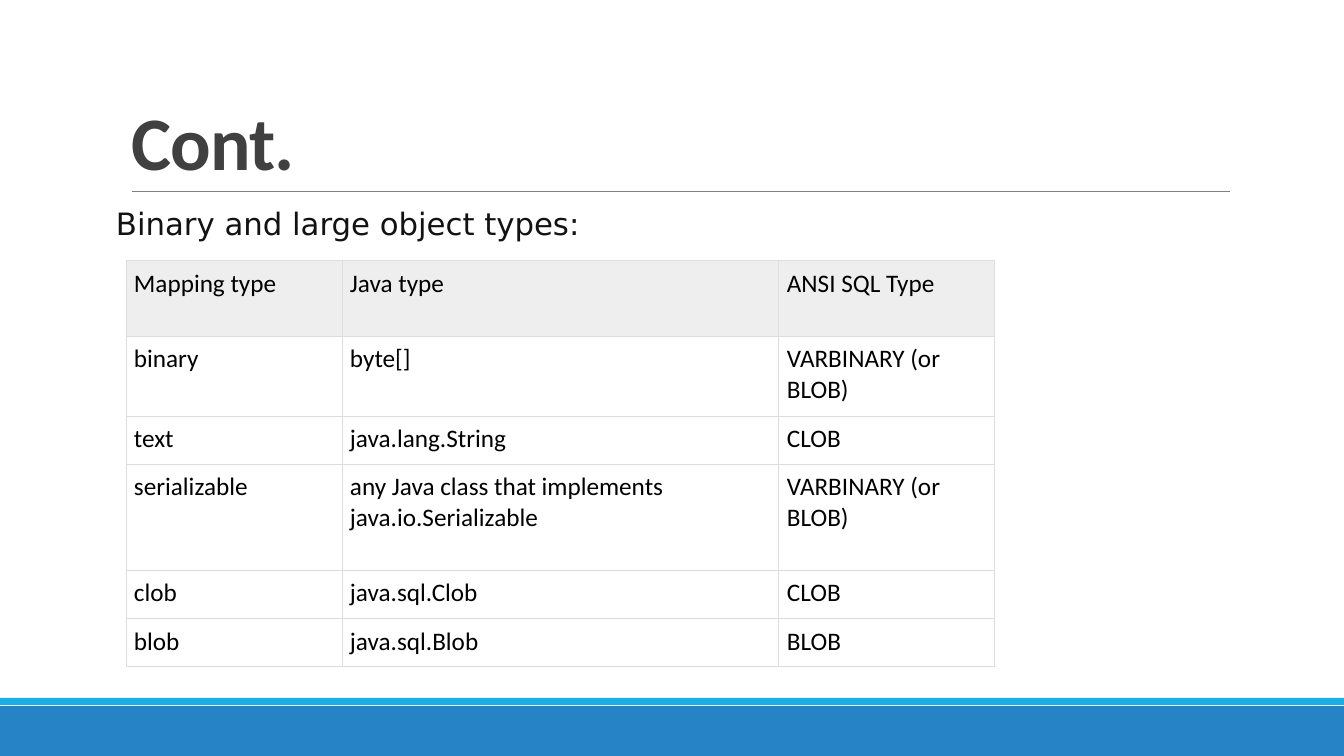
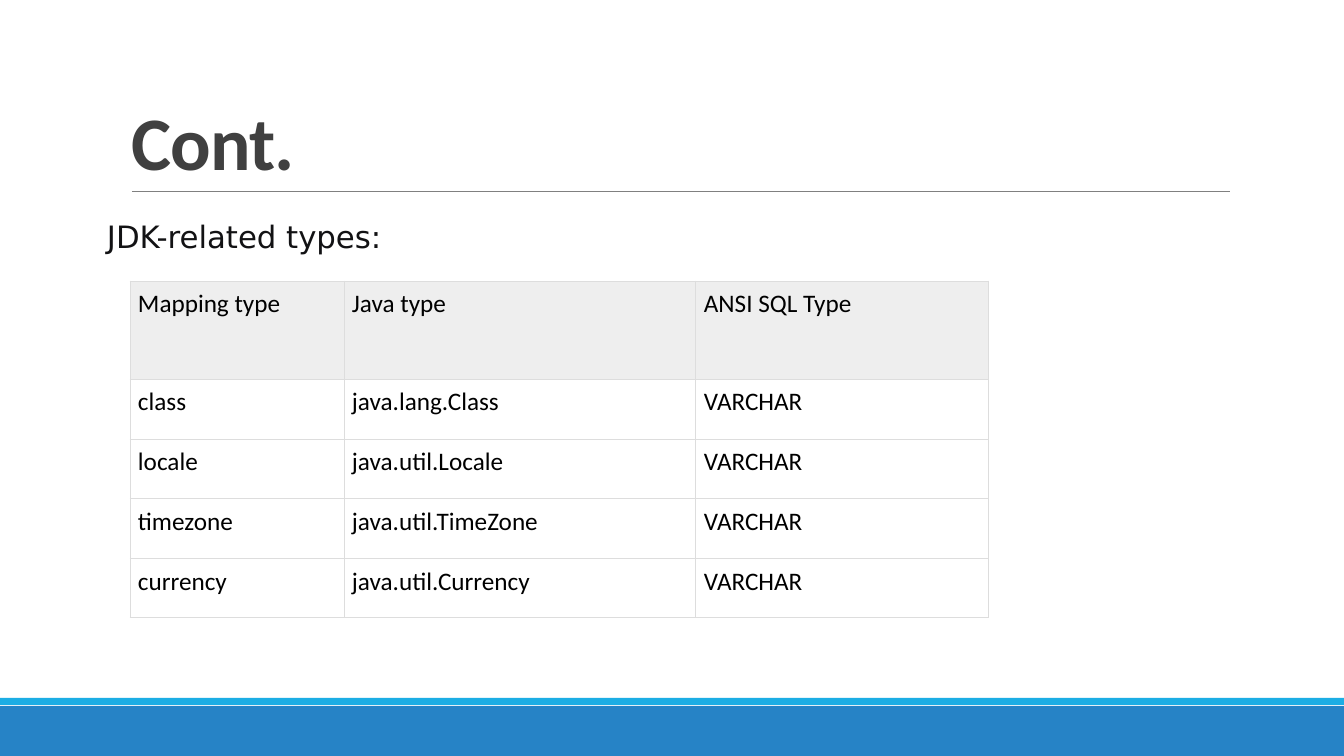
from lxml import etree
from pptx import Presentation
from pptx import util as u
from pptx.dml.color import RGBColor
from pptx.enum import shapes, text
from pptx.oxml import ns

SCALE = 914400 / 100.8
COLORS = {
    "band": "2683C6", "stripe": "1CADE4", "rule": "808080", "title": "404040",
    "caption": "121214", "cell": "000000", "header": "EEEEEE", "border": "DDDDDD",
}
TITLE_FONT = {"name": "Calibri", "size": u.Pt(54), "bold": True}
CAPTION_FONT = {"name": "DejaVu Sans", "size": u.Pt(22)}
CELL_FONT = {"name": "Calibri", "size": u.Pt(18)}
HEADER = ["Mapping type", "Java type", "ANSI SQL Type"]
CELL_INSET = 8

SLIDES = [
    {
        "caption": "Binary and large object types:",
        "caption_box": (116, 202, 480, 42),
        "table_at": (126, 260),
        "columns": [216, 437, 216],
        "heights": [76, 80, 48, 106, 49, 48],
        "rows": [
            ["binary", "byte[]", "VARBINARY (or BLOB)"],
            ["text", "java.lang.String", "CLOB"],
            ["serializable", "any Java class that implements java.io.Serializable",
             "VARBINARY (or BLOB)"],
            ["clob", "java.sql.Clob", "CLOB"],
            ["blob", "java.sql.Blob", "BLOB"],
        ],
    },
    {
        "caption": "JDK-related types:",
        "caption_box": (107, 215, 294, 42),
        "table_at": (130, 281),
        "columns": [214, 352, 293],
        "heights": [98, 60, 60, 60, 59],
        "rows": [
            ["class", "java.lang.Class", "VARCHAR"],
            ["locale", "java.util.Locale", "VARCHAR"],
            ["timezone", "java.util.TimeZone", "VARCHAR"],
            ["currency", "java.util.Currency", "VARCHAR"],
        ],
    },
]


def px(*lengths):
    return [u.Emu(round(length * SCALE)) for length in lengths]


def write(paragraph, words, font, color):
    run = paragraph.add_run()
    run.text = words
    for name, value in font.items():
        setattr(run.font, name, value)
    run.font.color.rgb = RGBColor.from_string(COLORS[color])
    return run


presentation = Presentation()
presentation.slide_width, presentation.slide_height = px(1344, 756)
layout = presentation.slide_layouts.get_by_name("Title Only")

for placeholder in list(layout.placeholders):
    if placeholder.placeholder_format.idx != 0:
        placeholder.element.getparent().remove(placeholder.element)
layout_title = layout.placeholders[0]
layout_title.left, layout_title.top, layout_title.width, layout_title.height = px(121, 31, 1109, 160)
layout_title.text_frame.vertical_anchor = text.MSO_ANCHOR.BOTTOM
layout_title.text_frame.auto_size = text.MSO_AUTO_SIZE.NONE

for number, content in enumerate(SLIDES):
    slide = presentation.slides.add_slide(layout)

    if number == 0:
        decorations = []
        for color, top, height in [("band", 706, 50), ("stripe", 698, 7)]:
            band = slide.shapes.add_shape(shapes.MSO_SHAPE.RECTANGLE, *px(0, top, 1344, height))
            band.shadow.inherit = False
            band.fill.solid()
            band.fill.fore_color.rgb = RGBColor.from_string(COLORS[color])
            band.line.fill.background()
            decorations.append(band)
        rule = slide.shapes.add_connector(shapes.MSO_CONNECTOR.STRAIGHT, *px(132, 191, 1230, 191))
        rule.line.color.rgb = RGBColor.from_string(COLORS["rule"])
        rule.line.width = u.Pt(0.5)
        etree.SubElement(rule.element.spPr, ns.qn("a:effectLst"))
        decorations.append(rule)
        for decoration in decorations:
            layout_title.element.addprevious(decoration.element)

    title = slide.shapes.title.text_frame.paragraphs[0]
    title.alignment = text.PP_ALIGN.LEFT
    title.line_spacing = 0.85
    title_run = write(title, "Cont.", TITLE_FONT, "title")
    title_run.font._element.set("spc", "-50")

    rows = [HEADER] + content["rows"]
    columns, heights = content["columns"], content["heights"]
    frame = slide.shapes.add_table(
        len(rows), len(columns),
        *px(*content["table_at"], sum(columns), sum(heights)))
    table = frame.table
    table.first_row = table.horz_banding = False
    for column, width in zip(table.columns, px(*columns)):
        column.width = width
    for row, height in zip(table.rows, px(*heights)):
        row.height = height
    for row_index, row in enumerate(rows):
        for column_index, words in enumerate(row):
            cell = table.cell(row_index, column_index)
            for side in ("left", "right", "top", "bottom"):
                setattr(cell, f"margin_{side}", px(CELL_INSET)[0])
            properties = cell._tc.get_or_add_tcPr()
            for side in "LRTB":
                border = etree.SubElement(properties, ns.qn(f"a:ln{side}"), w=str(u.Pt(0.75)))
                fill = etree.SubElement(border, ns.qn("a:solidFill"))
                etree.SubElement(fill, ns.qn("a:srgbClr"), val=COLORS["border"])
            if row_index == 0:
                cell.fill.solid()
                cell.fill.fore_color.rgb = RGBColor.from_string(COLORS["header"])
            else:
                cell.fill.background()
            write(cell.text_frame.paragraphs[0], words, CELL_FONT, "cell")

    caption = slide.shapes.add_textbox(*px(*content["caption_box"])).text_frame
    caption.word_wrap = True
    caption.vertical_anchor = text.MSO_ANCHOR.MIDDLE
    caption.margin_left = 0
    caption.margin_right, caption.margin_top, caption.margin_bottom = px(3, 3, 3)
    write(caption.paragraphs[0], content["caption"], CAPTION_FONT, "caption")

presentation.save("out.pptx")
